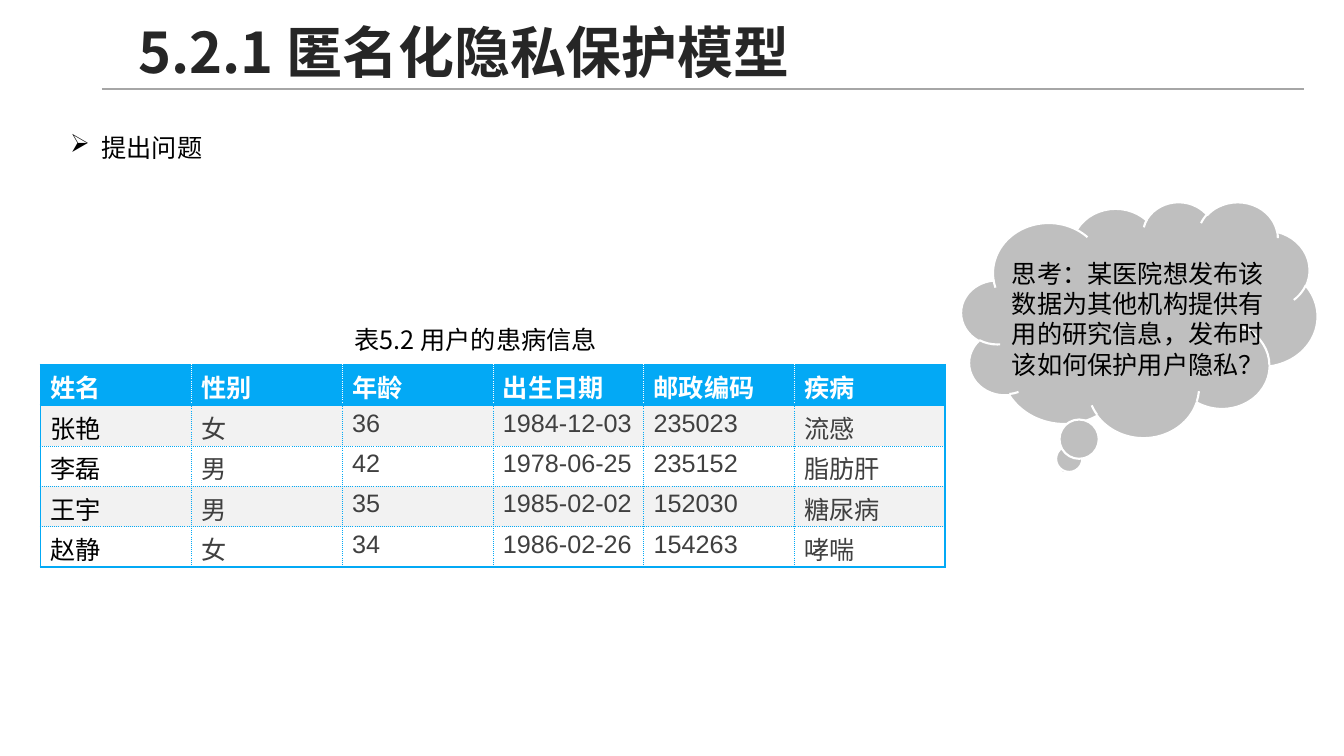
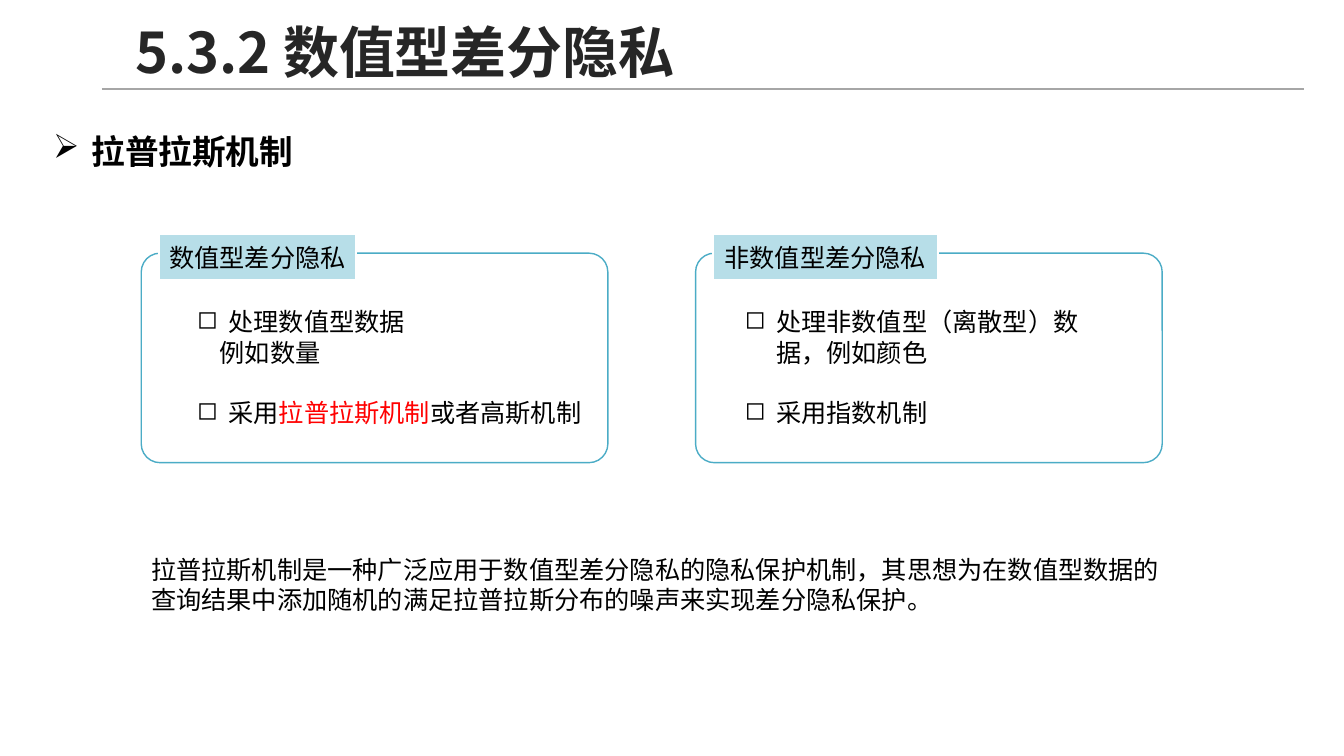
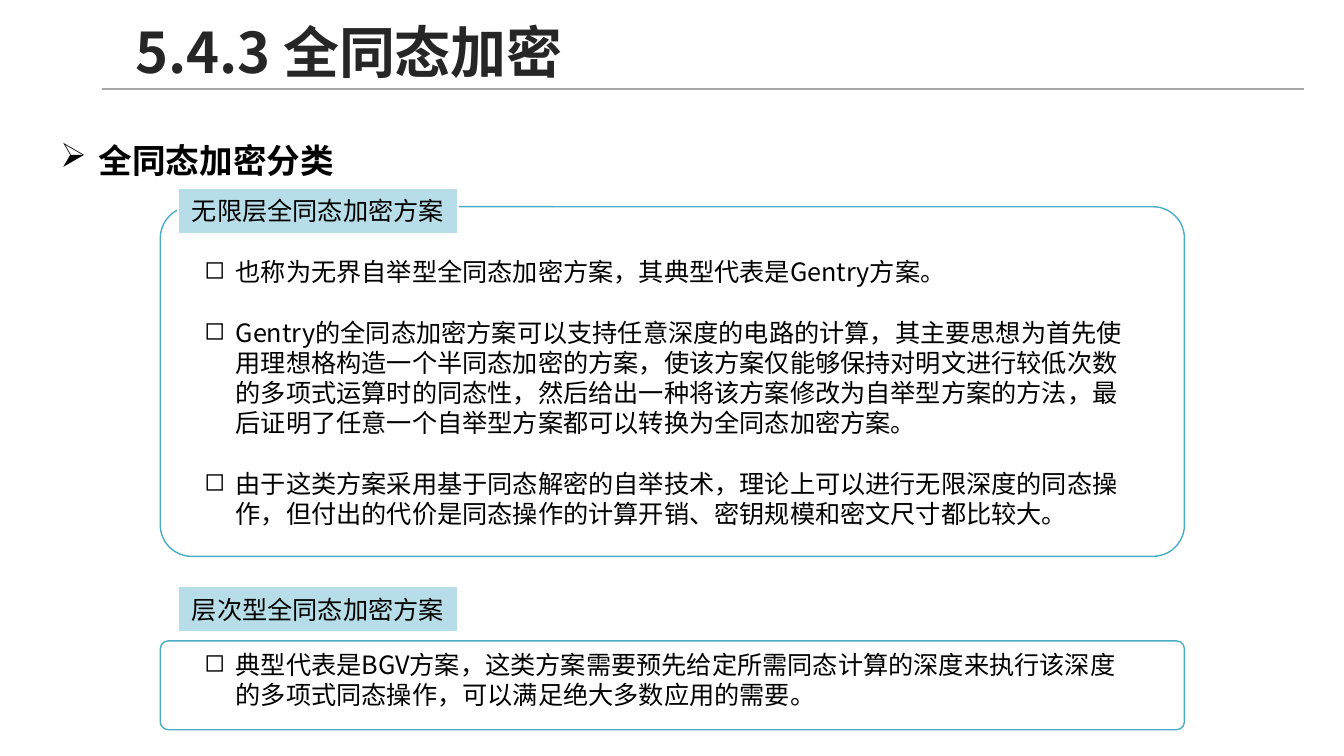
from dataclasses import dataclass

from lxml import etree
from pptx import Presentation
from pptx.dml.color import RGBColor
from pptx.enum.shapes import MSO_CONNECTOR, MSO_SHAPE
from pptx.enum.text import MSO_ANCHOR, PP_ALIGN
from pptx.oxml.ns import qn
from pptx.util import Cm, Pt

STRAIGHT = MSO_CONNECTOR.STRAIGHT
RECT, ROUND, CLOUD = MSO_SHAPE.RECTANGLE, MSO_SHAPE.ROUNDED_RECTANGLE, MSO_SHAPE.CLOUD_CALLOUT
TOP, MIDDLE = MSO_ANCHOR.TOP, MSO_ANCHOR.MIDDLE
LEFT, CENTER = PP_ALIGN.LEFT, PP_ALIGN.CENTER


@dataclass(frozen=True)
class Theme:
    font: str = "Noto Sans CJK SC"
    table_font: str = "Arial"
    title: str = "262626"
    text: str = "000000"
    muted: str = "404040"
    white: str = "FFFFFF"
    rule: str = "A6A6A6"
    cloud: str = "BFBFBF"
    card_line: str = "4BACC6"
    label: str = "B7DEE8"
    table: str = "03A9F5"
    band: str = "F2F2F2"
    accent: str = "FF0000"
    title_size: int = 40
    heading_size: int = 24
    body_size: int = 18
    body_pitch: float = 21.6
    heading_pitch: float = 45


T = Theme()


@dataclass(frozen=True)
class Para:
    runs: tuple
    bullet: str = ""
    indent: float = 0
    before: float = 0
    after: float = 0
    size: int = T.body_size
    pitch: float = T.body_pitch
    bold: bool = False
    align: PP_ALIGN = LEFT


def rgb(value):
    return RGBColor.from_string(value)


def cm(*values):
    return [Cm(v) for v in values]


def add_run(p, text, size=T.body_size, color=T.text, bold=False, font=T.font):
    r = p.add_run()
    r.text = text
    r.font.size, r.font.bold = Pt(size), bold
    r.font.color.rgb = rgb(color)
    r.font.name = font
    etree.SubElement(r.font._element, qn("a:ea"), typeface=T.font)


def write(tf, paras, anchor=TOP, wrap=True):
    tf.word_wrap, tf.vertical_anchor = wrap, anchor
    for i, para in enumerate(paras):
        p = tf.paragraphs[0] if i == 0 else tf.add_paragraph()
        pPr = p._p.get_or_add_pPr()
        if para.indent:
            pPr.set("marL", str(Cm(para.indent)))
        if para.bullet:
            pPr.set("indent", str(-Cm(para.indent)))
            etree.SubElement(pPr, qn("a:buChar"), char=para.bullet)
        p.alignment = para.align
        p.line_spacing = Pt(para.pitch)
        p.space_before, p.space_after = Pt(para.before), Pt(para.after)
        for text, color in para.runs:
            add_run(p, text, para.size, color, para.bold)


def plain(text, **options):
    return Para(((text, T.text),), **options)


def item(*runs, first=False):
    return Para(runs, bullet="◻", indent=0.79, before=0 if first else T.body_pitch)


def items(*texts):
    return [item((text, T.text), first=i == 0) for i, text in enumerate(texts)]


def heading(text):
    return plain(text, bullet="➢", indent=0.97, size=T.heading_size,
                 pitch=T.heading_pitch, bold=True)


def add_text(s, box, paras, anchor=TOP):
    write(s.shapes.add_textbox(*cm(*box)).text_frame, paras, anchor)


def add_box(s, kind, box, fill, line, width):
    sp = s.shapes.add_shape(kind, *cm(*box))
    sp.shadow.inherit = False
    sp.fill.solid()
    sp.fill.fore_color.rgb = rgb(fill)
    sp.line.color.rgb = rgb(line)
    sp.line.width = Pt(width)
    return sp


def add_card(s, box, label, label_width, text_box, paras, label_rise=0.48):
    sp = add_box(s, ROUND, box, T.white, T.card_line, 1)
    sp.adjustments[0] = 0.09
    add_text(s, text_box, paras, MIDDLE)
    tag = add_box(s, RECT, (box[0] + 0.44, box[1] - label_rise, label_width, 1.17),
                  T.label, T.white, 1.5)
    write(tag.text_frame, [plain(label, align=CENTER)], MIDDLE, wrap=False)


def add_border(cell, side, color, width, dash):
    ln = etree.SubElement(cell._tc.get_or_add_tcPr(), qn("a:ln" + side), w=str(Pt(width)))
    fill = etree.SubElement(ln, qn("a:solidFill"))
    etree.SubElement(fill, qn("a:srgbClr"), val=color)
    etree.SubElement(ln, qn("a:prstDash"), val=dash)


def add_table(s, left, top, col_width, row_height, rows):
    n_rows, n_cols = len(rows), len(rows[0])
    table = s.shapes.add_table(n_rows, n_cols, *cm(
        left, top, col_width * n_cols, row_height * n_rows)).table
    table.horz_banding = False
    for col in table.columns:
        col.width = Cm(col_width)
    for i, row in enumerate(rows):
        table.rows[i].height = Cm(row_height)
        head = i == 0
        for j, text in enumerate(row):
            cell = table.cell(i, j)
            cell.margin_top, cell.margin_bottom = Cm(0.1), 0
            strong = {"L": j == 0, "R": j == n_cols - 1,
                      "T": i < 2, "B": head or i == n_rows - 1}
            for side, outer in strong.items():
                if outer:
                    add_border(cell, side, T.table, 1.5, "solid")
                else:
                    add_border(cell, side, T.white if head else T.table, 0.25, "sysDot")
            cell.fill.solid()
            cell.fill.fore_color.rgb = rgb(T.table if head else T.band if i % 2 else T.white)
            color = T.white if head else T.text if j == 0 else T.muted
            add_run(cell.text_frame.paragraphs[0], text, color=color, bold=head,
                    font=T.table_font)


def add_rule(layout, s):
    line = s.shapes.add_connector(STRAIGHT, *cm(2.57, 2.24, 32.87, 2.24))
    line.line.color.rgb = rgb(T.rule)
    line.line.width = Pt(1)
    etree.SubElement(line.element.spPr, qn("a:effectLst"))
    layout.shapes.element.append(line.element)


def add_slide(prs, title, left=3.15):
    s = prs.slides.add_slide(prs.slide_layouts[5])
    sp = s.shapes.title
    sp.left, sp.top, sp.width, sp.height = cm(left, 0.38, 29.49, 2.01)
    tf = sp.text_frame
    tf.word_wrap, tf.vertical_anchor = True, MIDDLE
    p = tf.paragraphs[0]
    p.alignment, p.line_spacing = LEFT, 0.9
    add_run(p, title, T.title_size, T.title, True)
    return s


def anonymity_slide(prs):
    s = add_slide(prs, "5.2.1 匿名化隐私保护模型", left=3.23)
    add_text(s, (1.52, 3.2, 21.16, 1.02), [plain("提出问题", bullet="➢", indent=0.79)])
    add_table(s, 1.02, 9.19, 3.8, 1.02, [
        ("姓名", "性别", "年龄", "出生日期", "邮政编码", "疾病"),
        ("张艳", "女", "36", "1984-12-03", "235023", "流感"),
        ("李磊", "男", "42", "1978-06-25", "235152", "脂肪肝"),
        ("王宇", "男", "35", "1985-02-02", "152030", "糖尿病"),
        ("赵静", "女", "34", "1986-02-26", "154263", "哮喘"),
    ])
    add_text(s, (8.69, 8.05, 8.51, 1.02), [plain("表5.2 用户的患病信息")])
    add_box(s, CLOUD, (24.23, 5.08, 8.97, 5.94), T.cloud, T.white, 1.5)
    add_text(s, (25.25, 6.38, 7.47, 3.33), [plain(
        "思考：某医院想发布该数据为其他机构提供有用的研究信息，发布时该如何保护用户隐私？")])
    return s


def laplace_slide(prs):
    s = add_slide(prs, "5.3.2 数值型差分隐私")
    add_card(s, (3.56, 6.38, 11.76, 5.28), "数值型差分隐私", 4.98, (4.72, 7.59, 10.29, 3.33), [
        item(("处理数值型数据", T.text), first=True),
        plain("例如数量", indent=0.57),
        item(("采用", T.text), ("拉普拉斯机制", T.accent), ("或者高斯机制", T.text)),
    ])
    add_card(s, (17.53, 6.38, 11.76, 5.28), "非数值型差分隐私", 5.66, (18.52, 7.59, 9.07, 3.33),
             items("处理非数值型（离散型）数据，例如颜色", "采用指数机制"))
    add_text(s, (1.09, 2.59, 12.24, 1.63), [heading("拉普拉斯机制")])
    add_text(s, (3.56, 13.84, 26.37, 1.8), [plain(
        "拉普拉斯机制是一种广泛应用于数值型差分隐私的隐私保护机制，其思想为在数值型数据的"
        "查询结果中添加随机的满足拉普拉斯分布的噪声来实现差分隐私保护。", after=12)])


def homomorphic_slide(prs):
    s = add_slide(prs, "5.4.3 全同态加密")
    add_text(s, (1.27, 2.82, 12.24, 1.63), [heading("全同态加密分类")])
    add_card(s, (4.04, 5.21, 25.81, 8.81), "无限层全同态加密方案", 7.06, (4.9, 6.3, 24.05, 7.19), items(
        "也称为无界自举型全同态加密方案，其典型代表是Gentry方案。",
        "Gentry的全同态加密方案可以支持任意深度的电路的计算，其主要思想为首先使用理想格构造"
        "一个半同态加密的方案，使该方案仅能够保持对明文进行较低次数的多项式运算时的同态性，"
        "然后给出一种将该方案修改为自举型方案的方法，最后证明了任意一个自举型方案都可以转换为"
        "全同态加密方案。",
        "由于这类方案采用基于同态解密的自举技术，理论上可以进行无限深度的同态操作，"
        "但付出的代价是同态操作的计算开销、密钥规模和密文尺寸都比较大。"))
    add_card(s, (4.04, 16.15, 25.81, 2.24), "层次型全同态加密方案", 7.06, (4.9, 16.23, 24.05, 1.8), items(
        "典型代表是BGV方案，这类方案需要预先给定所需同态计算的深度来执行该深度的多项式"
        "同态操作，可以满足绝大多数应用的需要。"), label_rise=1.39)


def main():
    prs = Presentation()
    prs.slide_width, prs.slide_height = cm(33.87, 19.05)
    s = anonymity_slide(prs)
    add_rule(s.slide_layout, s)
    laplace_slide(prs)
    homomorphic_slide(prs)
    prs.save("out.pptx")


if __name__ == "__main__":
    main()
